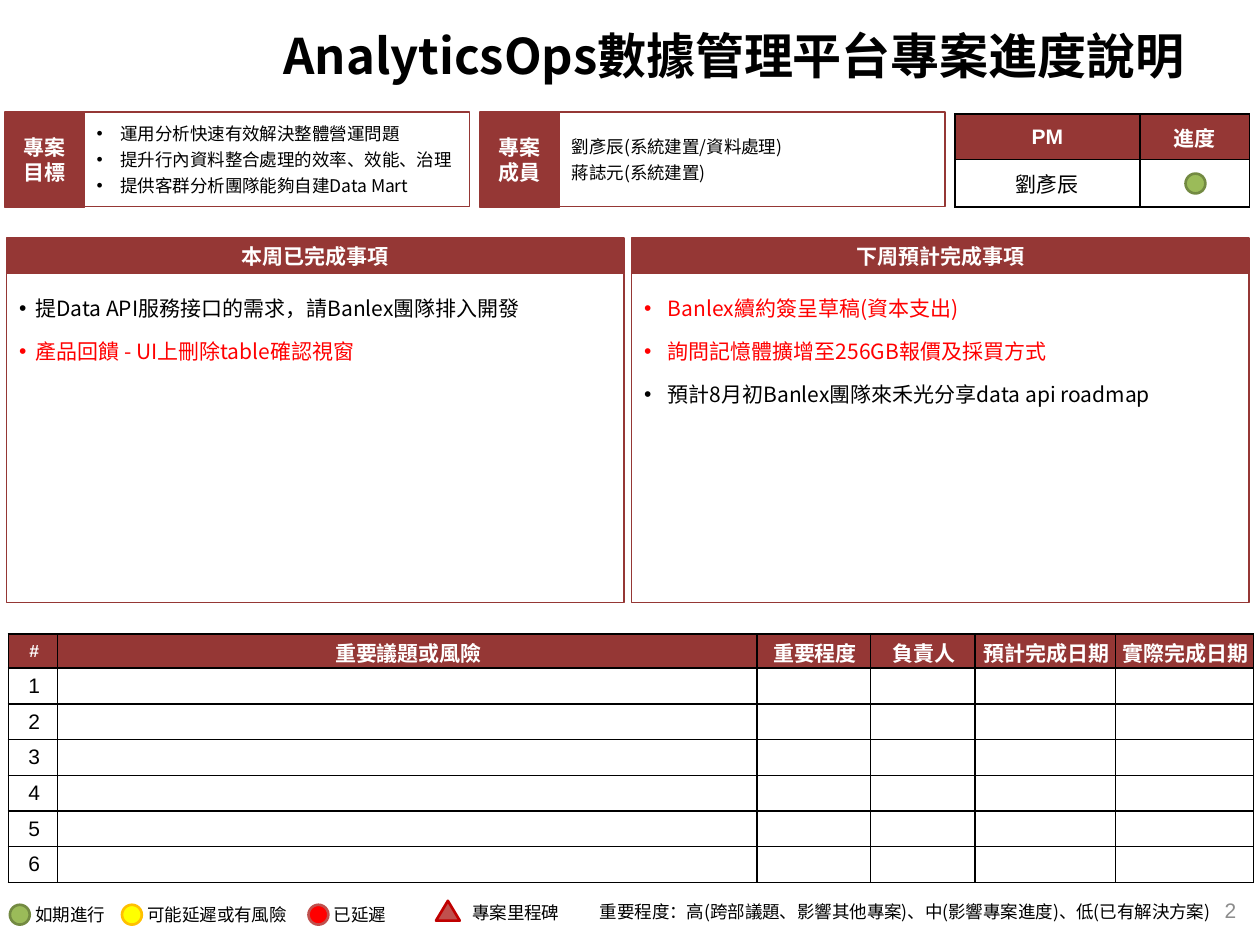
from lxml.etree import SubElement
from pptx import Presentation
from pptx.dml.color import RGBColor
from pptx.enum.shapes import MSO_SHAPE
from pptx.enum.text import MSO_ANCHOR, MSO_AUTO_SIZE, PP_ALIGN
from pptx.oxml import parse_xml
from pptx.oxml.ns import nsdecls, qn
from pptx.util import Cm, Pt

COLORS = {
    "brick": "953735", "white": "FFFFFF", "black": "000000", "red": "FF0000",
    "gray": "8C8C8C", "green": "9BBB59", "olive": "738A42", "yellow": "FFFF00",
    "amber": "FFC000", "rose": "C0504D", "crimson": "C00000",
}
ARIAL, NOTO = "Arial", "Noto Sans CJK SC"

TITLE = "AnalyticsOps數據管理平台專案進度說明"
# left, tag, lines, bullet indent
INFO = [
    (0.1, ["專案", "目標"], ["運用分析快速有效解決整體營運問題",
                         "提升行內資料整合處理的效率、效能、治理",
                         "提供客群分析團隊能夠自建Data Mart"], 0.48),
    (9.68, ["專案", "成員"], ["劉彥辰(系統建置/資料處理)", "蔣誌元(系統建置)"], 0),
]
# left, heading, lines with colour, bullet indent
PLANS = [
    (0.13, "本周已完成事項", [
        ("提Data API服務接口的需求，請Banlex團隊排入開發", "black"),
        ("產品回饋 - UI上刪除table確認視窗", "red")], 0.33),
    (12.73, "下周預計完成事項", [
        ("Banlex續約簽呈草稿(資本支出)", "red"),
        ("詢問記憶體擴增至256GB報價及採買方式", "red"),
        ("預計8月初Banlex團隊來禾光分享data api roadmap", "black")], 0.48),
]
STATUS = [["PM", "進度"], ["劉彥辰", ""]]
ISSUES = [["#", "重要議題或風險", "重要程度", "負責人", "預計完成日期", "實際完成日期"]]
ISSUES += [[str(n), "", "", "", "", ""] for n in range(1, 7)]
# left, label width, label, fill, line
LEGEND = [
    (0.2, 1.93, "如期進行", "green", "olive"),
    (2.46, 3.35, "可能延遲或有風險", "yellow", "amber"),
    (6.22, 1.57, "已延遲", "red", "rose"),
]
LEVELS = "重要程度：高(跨部議題、影響其他專案)、中(影響專案進度)、低(已有解決方案)"


def rgb(name):
    return RGBColor.from_string(COLORS[name])


def write(frame, lines, size=12, color="black", font=ARIAL, bold=False,
          align=PP_ALIGN.LEFT, anchor=MSO_ANCHOR.MIDDLE, indent=0,
          leading=1, before=0, after=0):
    """Fill a text frame; a line is a string or a (string, colour) pair."""
    frame.vertical_anchor = anchor
    for i, line in enumerate(lines):
        text, tint = (line, color) if isinstance(line, str) else line
        par = frame.paragraphs[0] if i == 0 else frame.add_paragraph()
        par.alignment, par.line_spacing = align, leading
        par.space_before, par.space_after = Pt(before), Pt(after)
        if indent:
            props = par._p.get_or_add_pPr()
            props.set("marL", str(Cm(indent)))
            props.set("indent", str(-Cm(indent)))
            SubElement(props, qn("a:buFont"), typeface=ARIAL)
            SubElement(props, qn("a:buChar"), char="•")
        if not text:
            SubElement(par._p, qn("a:endParaRPr"), sz=str(size * 100))
            continue
        run = par.add_run()
        run.text = text
        run.font.name, run.font.size, run.font.bold = font, Pt(size), bold
        run.font.color.rgb = rgb(tint)
        SubElement(run._r.get_or_add_rPr(), qn("a:ea"), typeface=NOTO)


def place(item, x, y, w, h):
    item.left, item.top, item.width, item.height = Cm(x), Cm(y), Cm(w), Cm(h)


def draw(kind, x, y, w, h, fill=None, line="brick", weight=0.75):
    item = slide.shapes.add_shape(kind, Cm(x), Cm(y), Cm(w), Cm(h))
    item.shadow.inherit = False
    if fill:
        item.fill.solid()
        item.fill.fore_color.rgb = rgb(fill)
    else:
        item.fill.background()
    item.line.color.rgb = rgb(line)
    item.line.width = Pt(weight)
    return item


def label(text, x, y, w, h, wrap=True, pad=0.13, **style):
    frame = slide.shapes.add_textbox(Cm(x), Cm(y), Cm(w), Cm(h)).text_frame
    frame.word_wrap = wrap
    frame.margin_top = frame.margin_bottom = Cm(pad)
    write(frame, [text], **style)


def frame_cell(cell):
    props = cell._tc.get_or_add_tcPr()
    for i, side in enumerate("LRTB"):
        props.insert(i, parse_xml(
            f'<a:ln{side} {nsdecls("a")} w="12700"><a:solidFill>'
            f'<a:srgbClr val="{COLORS["black"]}"/></a:solidFill></a:ln{side}>'))


def grid(rows, x, y, widths, heights, pads=None, head=None):
    """Draw a table; pads are cell margins (left, right), head formats row 0."""
    table = slide.shapes.add_table(
        len(rows), len(widths), Cm(x), Cm(y),
        Cm(sum(widths)), Cm(sum(heights))).table
    for col, w in zip(table.columns, widths):
        col.width = Cm(w)
    for r, row in enumerate(rows):
        table.rows[r].height = Cm(heights[r])
        for c, text in enumerate(row):
            cell = table.cell(r, c)
            cell.fill.solid()
            cell.fill.fore_color.rgb = rgb("white" if r else "brick")
            if pads:
                cell.margin_left, cell.margin_right = Cm(pads[0]), Cm(pads[1])
                cell.margin_top = cell.margin_bottom = 0
            style = {} if r else dict(color="white", bold=True, **(head or {}))
            write(cell.text_frame, [text], align=PP_ALIGN.CENTER,
                  size=10 if text == "#" else 12, **style)
            cell.vertical_anchor = MSO_ANCHOR.MIDDLE
            frame_cell(cell)


deck = Presentation()
deck.slide_width, deck.slide_height = Cm(25.4), Cm(19.05)
slide = deck.slides.add_slide(deck.slide_layouts.get_by_name("Two Content"))
title, *bodies = slide.placeholders
HEAD = dict(color="white", bold=True, align=PP_ALIGN.CENTER)
RECT, OVAL = MSO_SHAPE.RECTANGLE, MSO_SHAPE.OVAL

place(title, 5.46, 0.23, 19.35, 1.75)
title.text_frame.auto_size = MSO_AUTO_SIZE.NONE
write(title.text_frame, [TITLE], size=28, font=NOTO, bold=True)

for x, tag, lines, indent in INFO:
    write(draw(RECT, x, 2.26, 1.6, 1.93, "brick").text_frame, tag, **HEAD)
    write(draw(RECT, x + 1.6, 2.26, 7.77, 1.91).text_frame, lines,
          size=10, font=NOTO, indent=indent, after=2.8)

for body, (x, head, lines, indent) in zip(bodies, PLANS):
    write(draw(RECT, x, 4.8, 12.45, 0.72, "brick").text_frame, [head],
          after=2.8, **HEAD)
    place(body, x, 5.51, 12.45, 6.63)
    body.line.color.rgb = rgb("brick")
    body.line.width = Pt(0.75)
    frame = body.text_frame
    frame.auto_size = MSO_AUTO_SIZE.NONE
    frame.margin_top = frame.margin_bottom = Cm(0.2)
    write(frame, lines, font=NOTO, anchor=MSO_ANCHOR.TOP, indent=indent,
          leading=1.5, after=2.8)

grid(STATUS, 19.25, 2.3, [3.73, 2.21], [0.92, 0.95], head=dict(after=2.8))
grid(ISSUES, 0.17, 12.78, [0.99, 14.1, 2.29, 2.1, 2.84, 2.78],
     [0.69] + [0.72] * 6, pads=(0.1, 0.05), head=dict(leading=1.06, before=2.4))
draw(OVAL, 23.9, 3.5, 0.4, 0.4, "green", "olive", 1.5)

NOTE = dict(size=10, anchor=MSO_ANCHOR.TOP)
for x, w, text, fill, line in LEGEND:
    draw(OVAL, x, 18.24, 0.4, 0.4, fill, line, 1.5)
    label(text, x + 0.26, 18.09, w, 0.69, wrap=False, **NOTE)
draw(MSO_SHAPE.ISOSCELES_TRIANGLE, 8.79, 18.16, 0.48, 0.4, "rose", "crimson", 1.5)
label("專案里程碑", 9.27, 18.06, 2.57, 0.69, font=NOTO, **NOTE)
label(LEVELS, 11.84, 17.91, 13, 0.94, pad=0.25, font=NOTO, **NOTE)
label("2", 19.46, 17.83, 5.71, 1.02, color="gray", align=PP_ALIGN.RIGHT)

deck.save("out.pptx")
